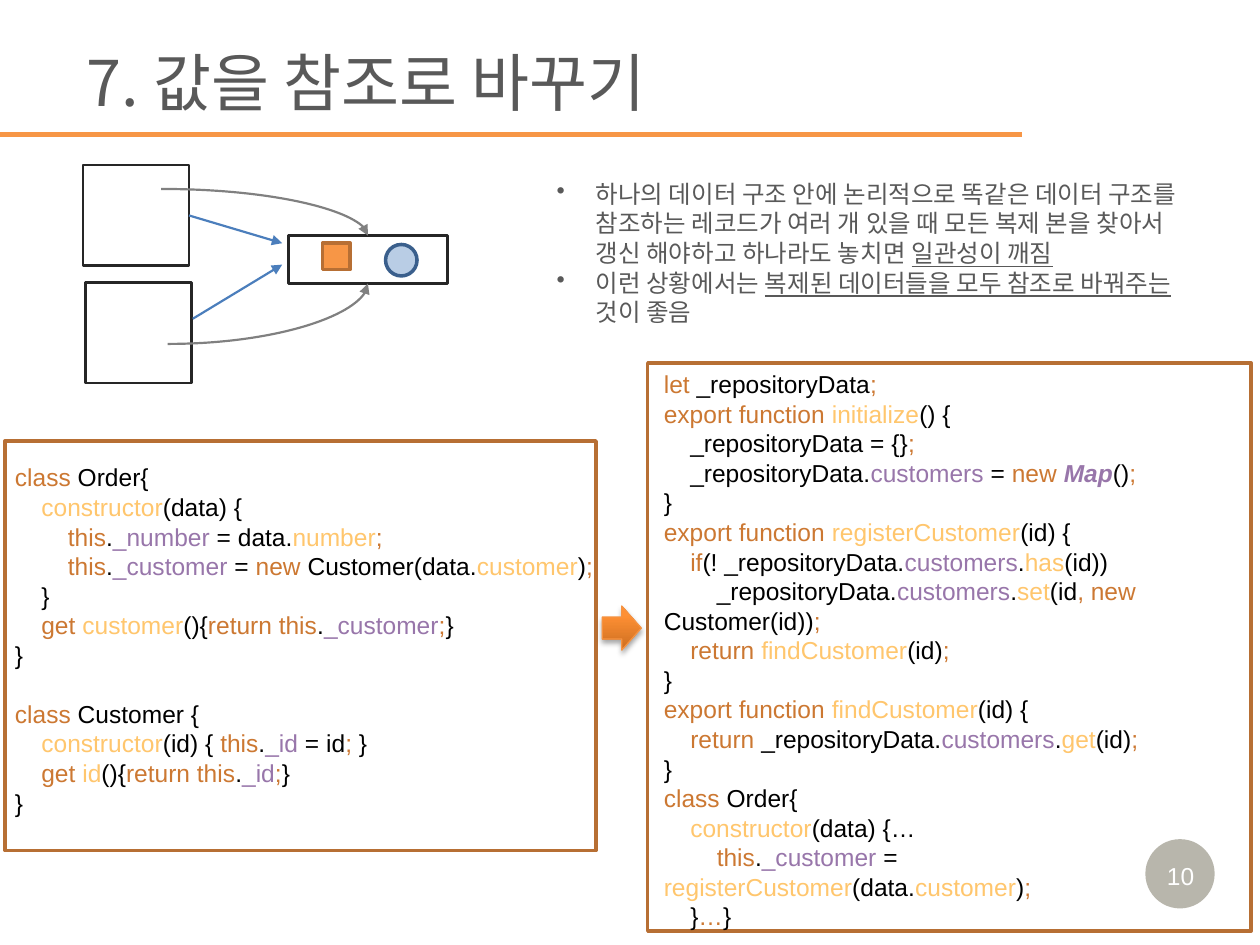
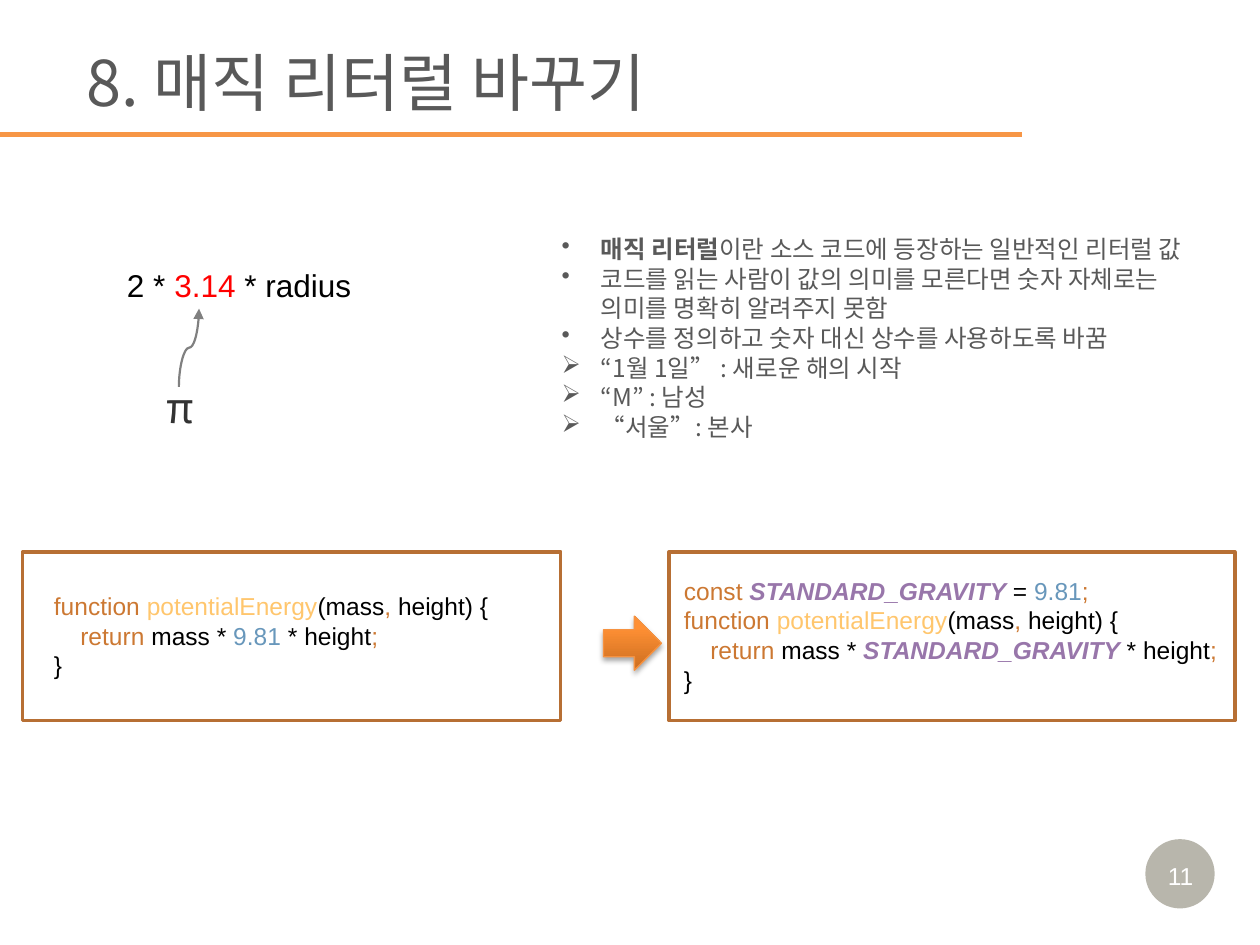
from lxml import etree
from pptx import Presentation
from pptx.dml.color import RGBColor
from pptx.enum.shapes import MSO_CONNECTOR, MSO_SHAPE
from pptx.enum.text import MSO_ANCHOR, PP_ALIGN
from pptx.oxml.ns import qn
from pptx.util import Inches, Pt

RECTANGLE, OVAL, RIGHT_ARROW = MSO_SHAPE.RECTANGLE, MSO_SHAPE.OVAL, MSO_SHAPE.RIGHT_ARROW
STRAIGHT, CURVE = MSO_CONNECTOR.STRAIGHT, MSO_CONNECTOR.CURVE
LEFT, CENTER, MIDDLE = PP_ALIGN.LEFT, PP_ALIGN.CENTER, MSO_ANCHOR.MIDDLE

LATIN, KOREAN = "Arial", "Noto Sans CJK KR"
ORANGE, BROWN, GREY, DARK = "F79646", "B76F34", "595959", "262626"
BLACK, WHITE, BLUE, CURVE_GREY = "000000", "FFFFFF", "4B7EBC", "808080"
LINE_RATIO = 1.205
CODE_SIZE = 14
CODE_INDENT = 0.21

# style letter: colour, bold, italic, underline
STYLES = {
    "n": (None, None, None, None),
    "k": ("CC7832", None, None, None),
    "f": ("FFC66D", None, None, None),
    "m": ("9876AA", None, None, None),
    "c": ("9876AA", True, True, None),
    "v": ("6897BB", None, None, None),
    "r": ("FF0000", None, None, None),
    "b": (None, True, None, None),
    "u": (None, None, None, True),
}

ORDER_BEFORE = """\
`kclass `nOrder{
    `fconstructor`n(data) {
        `kthis`n.`m_number `n= data.`fnumber`k;
        `kthis`n.`m_customer `n= `knew `nCustomer(data.`fcustomer`n)`k;
    `n}
    `kget `fcustomer`n(){`kreturn this`n.`m_customer`k;`n}
`n}

`kclass `nCustomer {
    `fconstructor`n(id) { `kthis`n.`m_id `n= id`k; `n}
    `kget `fid`n(){`kreturn this`n.`m_id`k;`n}
`n}"""

ORDER_AFTER = """\
`klet `n_repositoryData`k;
`kexport function `finitialize`n() {
    `n_repositoryData = {}`k;
    `n_repositoryData.`mcustomers `n= `knew `cMap`n()`k;
`n}
`kexport function `fregisterCustomer`n(id) {
    `kif`n(! _repositoryData.`mcustomers`n.`fhas`n(id))
        `n_repositoryData.`mcustomers`n.`fset`n(id`k, new `nCustomer(id))`k;
    `kreturn `ffindCustomer`n(id)`k;
`n}
`kexport function `ffindCustomer`n(id) {
    `kreturn `n_repositoryData.`mcustomers`n.`fget`n(id)`k;
`n}
`kclass `nOrder{
    `fconstructor`n(data) {…
        `kthis`n.`m_customer `n= `fregisterCustomer`n(data.`fcustomer`n)`k;
    `n}`k…`n}"""

ENERGY_BEFORE = """\
`kfunction `fpotentialEnergy`n(mass`k, `nheight) {
    `kreturn `nmass * `v9.81 `n* height`k;
`n}"""

ENERGY_AFTER = """\
`kconst `cSTANDARD_GRAVITY `n= `v9.81`k;
`kfunction `fpotentialEnergy`n(mass`k, `nheight) {
    `kreturn `nmass * `cSTANDARD_GRAVITY `n* height`k;
`n}"""

REFERENCE_POINTS = [
    ("•", "`n하나의 데이터 구조 안에 논리적으로 똑같은 데이터 구조를 참조하는 레코드가 여러 개 있을 때 "
          "모든 복제 본을 찾아서 갱신 해야하고 하나라도 놓치면 `u일관성이 깨짐"),
    ("•", "`n이런 상황에서는 `u복제된 데이터들을 모두 참조로 바꿔주는 `n것이 좋음"),
]
LITERAL_POINTS = [
    ("•", "`b매직 리터럴`n이란 소스 코드에 등장하는 일반적인 리터럴 값"),
    ("•", "`n코드를 읽는 사람이 값의 의미를 모른다면 숫자 자체로는 의미를 명확히 알려주지 못함"),
    ("•", "`n상수를 정의하고 숫자 대신 상수를 사용하도록 바꿈"),
    ("➢", "`n“1월 1일” : 새로운 해의 시작"),
    ("➢", "`n“M” : 남성"),
    ("➢", "`n“서울”: 본사"),
]


def rgb(value):
    return RGBColor.from_string(value)


def inches(values):
    return [Inches(value) for value in values]


def child(parent, tag, **attributes):
    return etree.SubElement(parent, qn(tag), attributes)


def style_para(para, size, face, color, tight=True):
    para.font.size, para.font.name = Pt(size), face
    para.font.color.rgb = rgb(color)
    child(para.font._element, "a:ea", typeface=face)
    if tight:
        para.line_spacing = Pt(round(size * LINE_RATIO, 1))


def add_spans(para, markup):
    for part in markup.split("`")[1:]:
        color, bold, italic, underline = STYLES[part[0]]
        span = para.add_run()
        span.text = part[1:]
        span.font.bold, span.font.italic, span.font.underline = bold, italic, underline
        if color:
            span.font.color.rgb = rgb(color)


def add_frame(page, box, wrap=True):
    frame = page.shapes.add_textbox(*inches(box)).text_frame
    frame.word_wrap = wrap
    return frame


def add_paras(frame, count):
    return [frame.paragraphs[0]] + [frame.add_paragraph() for _ in range(count - 1)]


def add_label(page, box, markup, size, face, color, wrap=False):
    para = add_frame(page, box, wrap).paragraphs[0]
    add_spans(para, markup)
    style_para(para, size, face, color, face == LATIN)
    return para


def add_block(page, kind, box, fill=None, line=None, width=2):
    shape = page.shapes.add_shape(kind, *inches(box))
    shape.shadow.inherit = False
    if fill:
        shape.fill.solid()
        shape.fill.fore_color.rgb = rgb(fill)
    else:
        shape.fill.background()
    if line:
        shape.line.color.rgb = rgb(line)
        shape.line.width = Pt(width)
    else:
        shape.line.fill.background()
    return shape


def connect(page, kind, begin, end, color, width, arrow=True):
    connector = page.shapes.add_connector(kind, *inches(begin + end))
    connector.line.color.rgb = rgb(color)
    connector.line.width = Pt(width)
    if arrow:
        child(connector.line._get_or_add_ln(), "a:tailEnd", type="triangle")
    child(connector._element.spPr, "a:effectLst")
    return connector


def quarter_curve(page, begin, end):
    connector = connect(page, CURVE, begin, end, CURVE_GREY, 1.25)
    connector._element.spPr.find(qn("a:prstGeom")).set("prst", "curvedConnector2")


def add_page(deck, number, title):
    page = deck.slides.add_slide(deck.slide_layouts[5])
    badge = add_block(page, OVAL, (9.09, 6.66, 0.55, 0.55), "4A452A")
    child(badge._element.spPr.find(".//" + qn("a:srgbClr")), "a:alpha", val="39000")
    add_label(page, (9.15, 6.78, 0.44, 0.34), f"`n{number}", 14, LATIN, WHITE).alignment = CENTER

    heading = page.shapes.title
    heading.left, heading.top, heading.width, heading.height = inches((0.59, 0.29, 9.41, 0.71))
    heading.text_frame.text = title
    heading.text_frame.vertical_anchor = MIDDLE
    para = heading.text_frame.paragraphs[0]
    para.alignment = LEFT
    style_para(para, 36, KOREAN, GREY, False)
    connect(page, STRAIGHT, (0, 1.07), (8.11, 1.07), ORANGE, 3, False)
    return page


def add_points(page, box, points):
    frame = add_frame(page, box)
    frame.vertical_anchor = MIDDLE
    for para, (bullet, markup) in zip(add_paras(frame, len(points)), points):
        add_spans(para, markup)
        style_para(para, 14, KOREAN, GREY)
        properties = para._p.get_or_add_pPr()
        properties.set("marL", str(Inches(0.31)))
        properties.set("indent", str(Inches(-0.31)))
        mark = etree.Element(qn("a:buChar"), char=bullet)
        properties.find(qn("a:defRPr")).addprevious(mark)


def add_code(page, box, text_box, code):
    left, top, width, height = box
    add_block(page, RECTANGLE, box, line=BROWN)
    shift_x, shift_y, text_width, text_height = text_box
    frame = add_frame(page, (left + shift_x, top + shift_y, text_width, text_height))
    sections = [section.split("\n") for section in code.split("\n\n")]
    paras = iter(add_paras(frame, sum(map(len, sections))))
    for section_index, lines in enumerate(sections):
        for line_index, line in enumerate(lines):
            para = next(paras)
            markup = line.lstrip()
            add_spans(para, markup)
            style_para(para, CODE_SIZE, LATIN, BLACK)
            depth = (len(line) - len(markup)) // 4
            para._p.get_or_add_pPr().set("indent", str(Inches(depth * CODE_INDENT)))
            if section_index and not line_index:
                para.space_before = Pt(CODE_SIZE * LINE_RATIO)


def add_step_arrow(page, box):
    arrow = add_block(page, RIGHT_ARROW, box, ORANGE, "F69240", 0.75)
    arrow.fill.gradient()
    arrow.fill.gradient_angle = 90
    for stop, position, color in zip(arrow.fill.gradient_stops, (0, 0.8), ("CC6E20", "FF9034")):
        stop.position = position
        stop.color.rgb = rgb(color)
    effects = arrow._element.spPr.find(qn("a:effectLst"))
    shadow = child(effects, "a:outerShdw", blurRad=str(Pt(3.1)), dist=str(Pt(1.8)),
                   dir="5400000", rotWithShape="0")
    child(child(shadow, "a:srgbClr", val=BLACK), "a:alpha", val="35000")


def add_reference_diagram(page, left, top):
    def at(x, y):
        return left + x, top + y

    for corner in (at(0, 0), at(0.02, 0.93)):
        add_block(page, RECTANGLE, corner + (0.84, 0.8), line=DARK, width=1.5)
    add_block(page, RECTANGLE, at(1.63, 0.56) + (1.26, 0.38), line=DARK, width=1.5)
    add_block(page, RECTANGLE, at(1.9, 0.62) + (0.22, 0.21), ORANGE, BROWN)
    add_block(page, OVAL, at(2.4, 0.63) + (0.25, 0.25), "B9CDE5", "3A5F8C")
    connect(page, STRAIGHT, at(0.84, 0.4), at(1.58, 0.62), BLUE, 1.25)
    connect(page, STRAIGHT, at(0.87, 1.22), at(1.58, 0.79), BLUE, 1.25)
    quarter_curve(page, at(0.62, 0.19), at(2.26, 0.56))
    quarter_curve(page, at(0.67, 1.42), at(2.26, 0.94))


def add_formula(page, left, top):
    add_label(page, (left, top, 2.2, 0.4), "`n2 * `r3.14`n * radius", 18, LATIN, BLACK, True)
    pointer = connect(page, CURVE, (left + 0.9, top + 0.78), (left + 0.28, top + 0.62),
                      CURVE_GREY, 1.25)
    pointer._element.spPr.find(qn("a:xfrm")).set("rot", "5400000")
    add_label(page, (left + 0.31, top + 0.92, 0.25, 0.5), "`nπ", 24, KOREAN, "333333").alignment = LEFT


def build_reference_page(deck):
    page = add_page(deck, 10, "7. 값을 참조로 바꾸기")
    add_points(page, (4.32, 1.28, 5.24, 1.45), REFERENCE_POINTS)
    add_reference_diagram(page, 0.66, 1.31)
    add_code(page, (0.04, 3.5, 4.69, 3.25), (-0.02, 0.12, 4.81, 2.93), ORDER_BEFORE)
    add_step_arrow(page, (4.78, 4.81, 0.31, 0.35))
    add_code(page, (5.14, 2.88, 4.79, 4.51), (0.03, 0, 4.79, 4.58), ORDER_AFTER)


def build_literal_page(deck):
    page = add_page(deck, 11, "8. 매직 리터럴 바꾸기")
    add_points(page, (4.36, 1.73, 5.28, 1.9), LITERAL_POINTS)
    add_formula(page, 0.91, 2.06)
    add_code(page, (0.18, 4.38, 4.27, 1.34), (0.15, 0.26, 3.77, 0.81), ENERGY_BEFORE)
    add_step_arrow(page, (4.79, 4.89, 0.46, 0.43))
    add_code(page, (5.31, 4.38, 4.49, 1.34), (0.02, 0.14, 4.57, 1.04), ENERGY_AFTER)


def main():
    deck = Presentation()
    deck.slide_width, deck.slide_height = Inches(10), Inches(7.5)
    build_reference_page(deck)
    build_literal_page(deck)
    deck.save("out.pptx")


if __name__ == "__main__":
    main()
